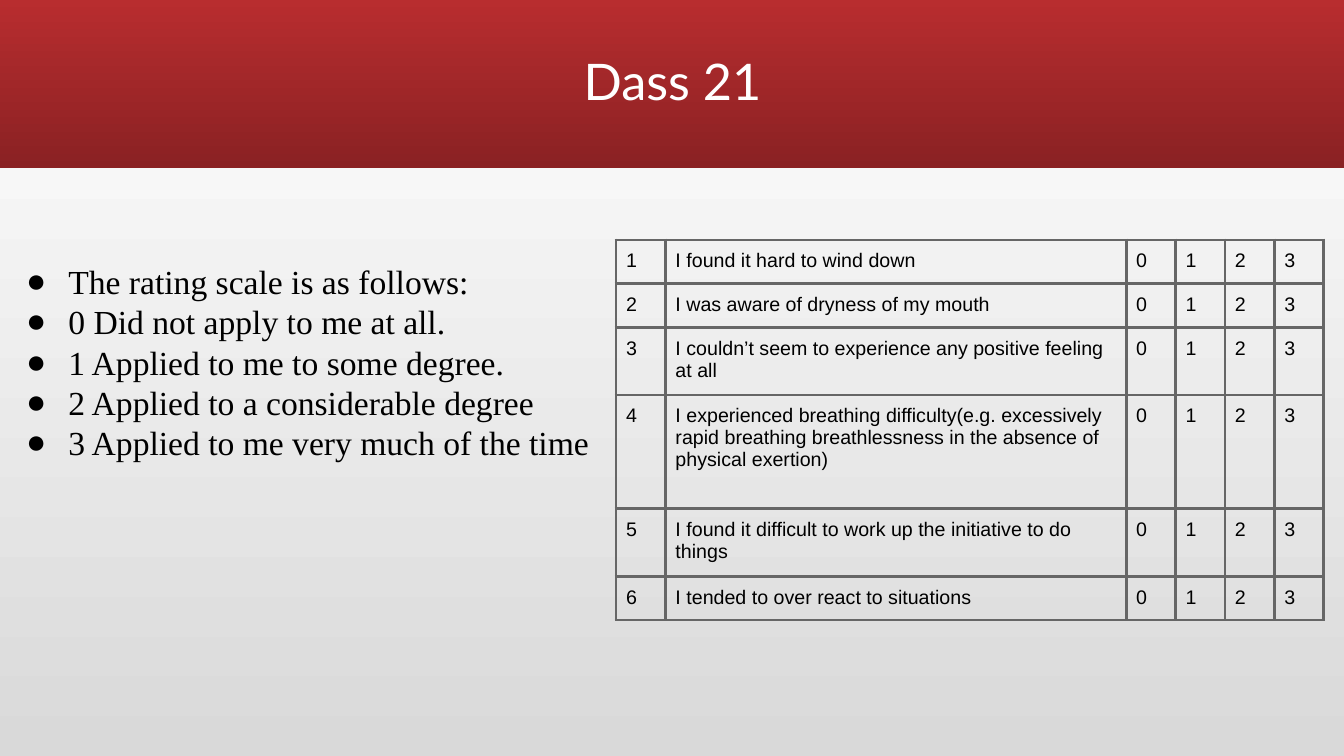
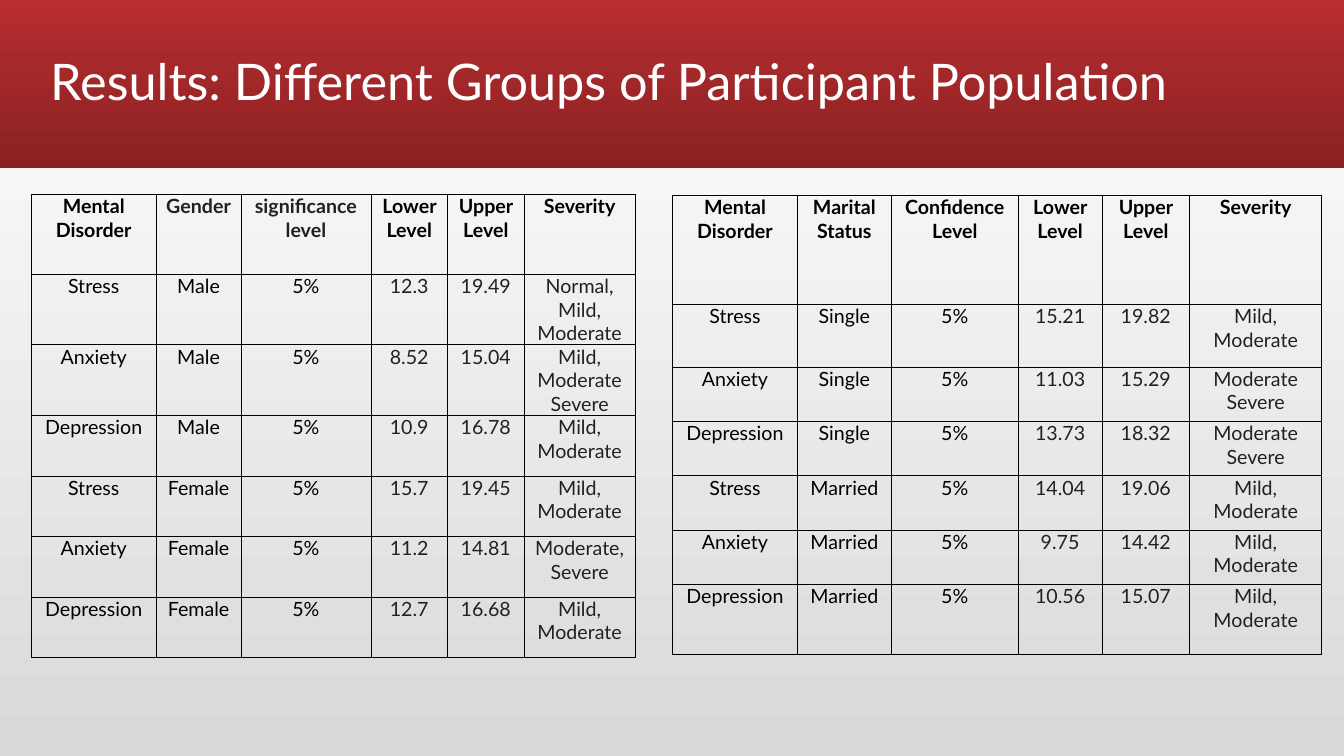
"""Build two slides on the DASS 21 questionnaire and its results by group."""
from lxml.etree import SubElement
from pptx import Presentation
from pptx.dml.color import RGBColor
from pptx.enum.shapes import MSO_SHAPE
from pptx.enum.text import MSO_ANCHOR, PP_ALIGN
from pptx.oxml.ns import qn
from pptx.util import Inches, Pt

COLORS = {
    "band_top": "B82D2F",
    "band_bottom": "8A2123",
    "page_top": "FFFFFF",
    "page_bottom": "D9D9D9",
    "title": "FFFFFF",
    "text": "000000",
    "soft_text": "212121",
    "question_border": "666666",
    "result_border": "000000",
}
SLIDE_WIDTH, SLIDE_HEIGHT, BAND_HEIGHT = 13.33, 7.5, 1.67

RATING_SCALE = [
    "The rating scale is as follows:",
    "0 Did not apply to me at all.",
    "1 Applied to me to some degree.",
    "2 Applied to a considerable degree",
    "3 Applied to me very much of the time",
]
QUESTIONS = [
    "I found it hard to wind down",
    "I was aware of dryness of my mouth",
    "I couldn’t seem to experience any positive feeling at all",
    "I experienced breathing difficulty(e.g. excessively rapid breathing "
    "breathlessness in the absence of physical exertion)",
    "I found it difficult to work up the initiative to do things",
    "I tended to over react to situations",
]
RATINGS = ["0", "1", "2", "3"]
QUESTION_TABLE = {
    "left": 6.11,
    "top": 2.38,
    "columns": [0.49, 4.57] + [0.49] * len(RATINGS),
    "heights": [0.43, 0.43, 0.67, 1.13, 0.67, 0.43],
    "rows": [[str(number), question, *RATINGS]
             for number, question in enumerate(QUESTIONS, 1)],
}
RESULT_TABLES = [
    {
        "left": 0.31,
        "top": 1.93,
        "columns": [1.24, 0.84, 1.29, 0.76, 0.76, 1.1],
        "heights": [0.79] + [0.6] * 6,
        "rows": [
            ["Mental Disorder", "Gender", "significance level",
             "Lower Level", "Upper Level", "Severity"],
            ["Stress", "Male", "5%", "12.3", "19.49", "Normal, Mild, Moderate"],
            ["Anxiety", "Male", "5%", "8.52", "15.04", "Mild, Moderate\nSevere"],
            ["Depression", "Male", "5%", "10.9", "16.78", "Mild, Moderate"],
            ["Stress", "Female", "5%", "15.7", "19.45", "Mild, Moderate"],
            ["Anxiety", "Female", "5%", "11.2", "14.81", "Moderate,Severe"],
            ["Depression", "Female", "5%", "12.7", "16.68", "Mild, Moderate"],
        ],
    },
    {
        "left": 6.67,
        "top": 1.94,
        "columns": [1.24, 0.93, 1.26, 0.83, 0.87, 1.31],
        "heights": [1.08, 0.62] + [0.54] * 4 + [0.69],
        "rows": [
            ["Mental Disorder", "Marital Status", "Confidence Level",
             "Lower Level", "Upper Level", "Severity"],
            ["Stress", "Single", "5%", "15.21", "19.82", "Mild, Moderate"],
            ["Anxiety", "Single", "5%", "11.03", "15.29", "Moderate Severe"],
            ["Depression", "Single", "5%", "13.73", "18.32", "Moderate Severe"],
            ["Stress", "Married", "5%", "14.04", "19.06", "Mild, Moderate"],
            ["Anxiety", "Married", "5%", "9.75", "14.42", "Mild, Moderate"],
            ["Depression", "Married", "5%", "10.56", "15.07", "Mild, Moderate"],
        ],
    },
]
SOFT_HEADINGS = {"Gender", "significance level"}
FIRST_SOFT_COLUMN = 3


def color(name):
    return RGBColor.from_string(COLORS[name])


def fill_downward(fill, top, bottom):
    fill.gradient()
    fill.gradient_angle = 270
    for stop, name in zip(fill.gradient_stops, (top, bottom)):
        stop.color.rgb = color(name)


def format_text(text_frame, font_name, size, color_name, bold=False, align=PP_ALIGN.LEFT):
    for paragraph in text_frame.paragraphs:
        paragraph.alignment = align
        for run in paragraph.runs:
            run.font.name = font_name
            run.font.size = Pt(size)
            run.font.bold = bold
            run.font.color.rgb = color(color_name)


def add_text_box(slide, left, top, width, height, text):
    box = slide.shapes.add_textbox(Inches(left), Inches(top), Inches(width), Inches(height))
    box.text_frame.word_wrap = True
    box.text_frame.text = text
    return box.text_frame


def add_titled_slide(presentation, title, left, width, align):
    slide = presentation.slides.add_slide(presentation.slide_layouts[6])
    band = slide.shapes.add_shape(
        MSO_SHAPE.RECTANGLE, 0, 0, presentation.slide_width, Inches(BAND_HEIGHT))
    band.shadow.inherit = False
    band.line.fill.background()
    fill_downward(band.fill, "band_top", "band_bottom")
    text_frame = add_text_box(slide, left, 0.11, width, 1.45, title)
    text_frame.vertical_anchor = MSO_ANCHOR.MIDDLE
    text_frame.paragraphs[0].line_spacing = 0.9
    format_text(text_frame, "Lato", 36, "title", align=align)
    return slide


def add_bullet(paragraph):
    properties = paragraph._p.get_or_add_pPr()
    properties.set("marL", str(Inches(0.5)))
    properties.set("indent", str(Inches(-0.42)))
    bullet_color = SubElement(properties, qn("a:buClr"))
    SubElement(bullet_color, qn("a:srgbClr"), val=COLORS["text"])
    SubElement(properties, qn("a:buFont"), typeface="Times New Roman")
    SubElement(properties, qn("a:buChar"), char="●")


def set_borders(cell, color_name, width):
    properties = cell._tc.get_or_add_tcPr()
    for side in ("a:lnL", "a:lnR", "a:lnT", "a:lnB"):
        line = SubElement(properties, qn(side), w=str(Pt(width)))
        solid = SubElement(line, qn("a:solidFill"))
        SubElement(solid, qn("a:srgbClr"), val=COLORS[color_name])


def add_grid(slide, spec_table, border, border_width, margins, style_cell):
    columns, heights = spec_table["columns"], spec_table["heights"]
    table = slide.shapes.add_table(
        len(heights), len(columns), Inches(spec_table["left"]), Inches(spec_table["top"]),
        Inches(sum(columns)), Inches(sum(heights))).table
    table.first_row = table.horz_banding = False
    for column, width in zip(table.columns, columns):
        column.width = Inches(width)
    for row_index, (row, height) in enumerate(zip(table.rows, heights)):
        row.height = Inches(height)
        for column_index, cell in enumerate(row.cells):
            cell.text = spec_table["rows"][row_index][column_index]
            cell.margin_left = cell.margin_right = Inches(margins[0])
            cell.margin_top = cell.margin_bottom = Inches(margins[1])
            set_borders(cell, border, border_width)
            cell.fill.background()
            style_cell(cell, row_index, column_index)


def style_question(cell, row_index, column_index):
    format_text(cell.text_frame, "Arial", 14, "text")


def style_result(cell, row_index, column_index):
    heading = row_index == 0
    soft = cell.text in SOFT_HEADINGS if heading else column_index >= FIRST_SOFT_COLUMN
    format_text(cell.text_frame, "Lato", 14, "soft_text" if soft else "text",
                bold=heading, align=PP_ALIGN.CENTER)


def build_questionnaire(presentation):
    slide = add_titled_slide(presentation, "Dass 21", 1.17, 11, PP_ALIGN.CENTER)
    text_frame = add_text_box(slide, 0.08, 2.54, 6.43, 4.63, "\n".join(RATING_SCALE))
    format_text(text_frame, "Times New Roman", 24, "text")
    for paragraph in text_frame.paragraphs:
        add_bullet(paragraph)
    add_grid(slide, QUESTION_TABLE, "question_border", 2.25, (0.1, 0.1), style_question)


def build_results(presentation):
    slide = add_titled_slide(
        presentation, "Results: Different Groups of Participant Population",
        0.4, 12.93, PP_ALIGN.LEFT)
    for result_table in RESULT_TABLES:
        add_grid(slide, result_table, "result_border", 0.5, (0.07, 0), style_result)


def main():
    presentation = Presentation()
    presentation.slide_width = Inches(SLIDE_WIDTH)
    presentation.slide_height = Inches(SLIDE_HEIGHT)
    fill_downward(presentation.slide_master.background.fill, "page_top", "page_bottom")
    build_questionnaire(presentation)
    build_results(presentation)
    presentation.save("out.pptx")


if __name__ == "__main__":
    main()
